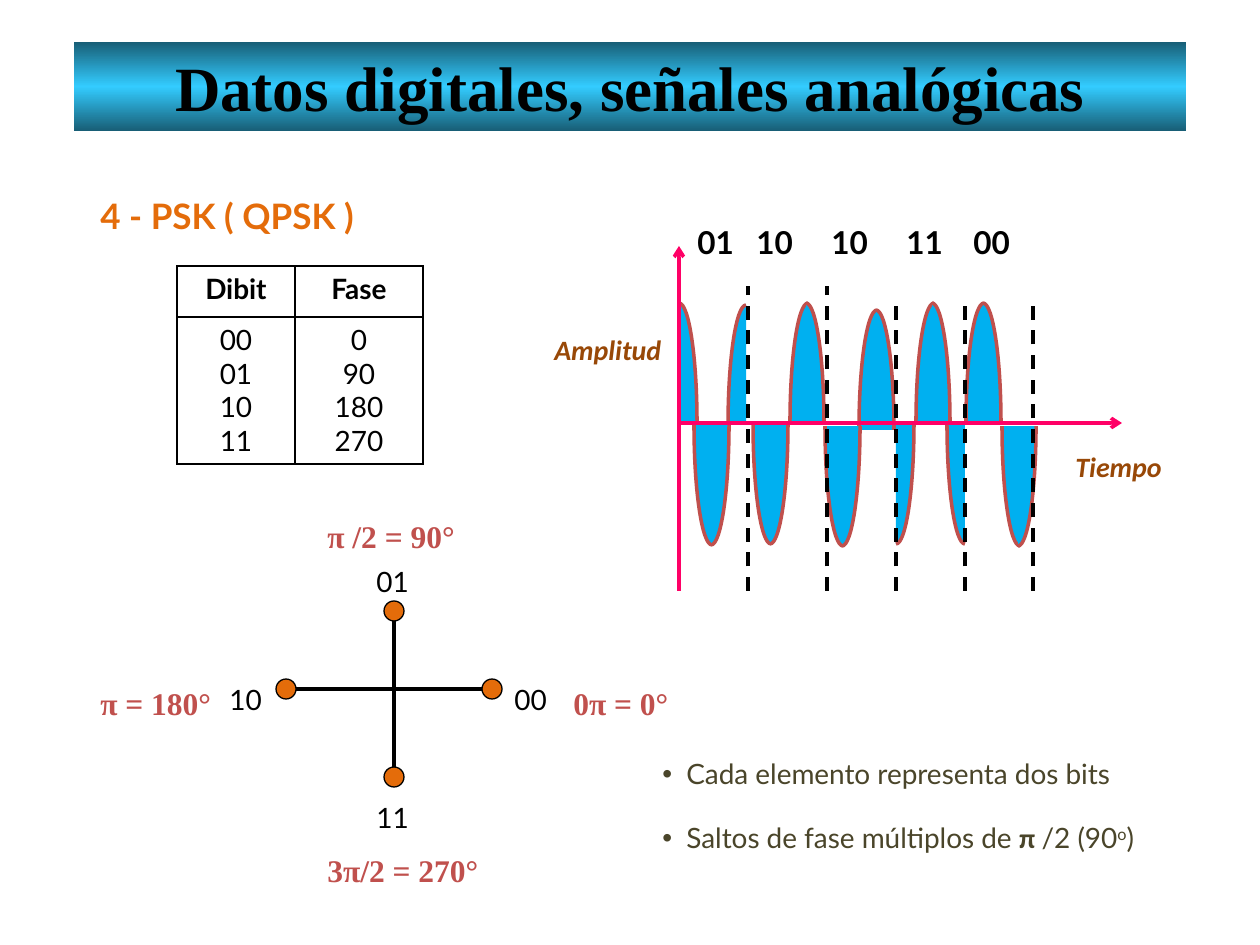
from copy import deepcopy

from lxml.etree import SubElement
from pptx import Presentation
from pptx.dml.color import RGBColor
from pptx.enum.dml import MSO_LINE
from pptx.enum.shapes import MSO_CONNECTOR, MSO_SHAPE
from pptx.enum.text import MSO_ANCHOR, PP_ALIGN
from pptx.oxml import parse_xml
from pptx.oxml.ns import nsdecls, qn
from pptx.util import Pt

EMU_PER_PX = 914400 / 126
COLORS = {
    "black": "000000", "white": "FFFFFF", "orange": "E46C0A",
    "wave": "00B0F0", "red": "C0504D", "axis": "FF0066",
    "brown": "984807", "olive": "4A452A",
    "banner edge": "185E76", "banner middle": "33CCFF",
}
LATO, CALIBRI, TIMES = "Lato", "Calibri", "Times New Roman"

# Quarter waves: (left, top) of each, by direction
QUARTER_WIDTH, QUARTER_HEIGHT = 18, 120
ARC_PULL = 0.55  # Bezier handle length of a quarter ellipse
CREST_RISES = [(728, 305), (790, 303), (859, 310), (916, 303), (966, 303)]
CREST_FALLS = [(679, 303), (806, 303), (876, 310), (932, 303), (983, 303)]
TROUGH_FALLS = [(694, 425), (753, 424), (825, 426), (947, 424), (1002, 426)]
TROUGH_RISES = [(711, 425), (770, 424), (842, 426), (896, 424), (1018, 426)]


def px(length):
    return round(length * EMU_PER_PX)


def rgb(name):
    return RGBColor.from_string(COLORS[name])


def write_text(paragraph, text, *, size=16, color="black", font=LATO, bold=False,
               italic=False, align=PP_ALIGN.LEFT, spacing=1.0, baseline=None):
    paragraph.alignment = align
    paragraph.line_spacing = spacing
    run = paragraph.add_run()
    run.text = text
    run.font.size = Pt(size)
    run.font.name = font
    run.font.bold = bold
    run.font.italic = italic
    run.font.color.rgb = rgb(color)
    if baseline:
        run.font._element.set("baseline", str(baseline))


def add_label(slide, text, left, top, width, height, **text_format):
    label = slide.shapes.add_textbox(px(left), px(top), px(width), px(height))
    label.text_frame.word_wrap = True
    paragraph = label.text_frame.paragraphs[0]
    write_text(paragraph, text, **text_format)
    return paragraph


def add_preset(slide, preset, left, top, width, height, fill, line=None):
    preset_shape = slide.shapes.add_shape(preset, px(left), px(top), px(width), px(height))
    preset_shape.shadow.inherit = False
    preset_shape.fill.solid()
    preset_shape.fill.fore_color.rgb = rgb(fill)
    if line:
        preset_shape.line.color.rgb = rgb(line)
        preset_shape.line.width = Pt(0.75)
    else:
        preset_shape.line.fill.background()
    return preset_shape


def add_line(slide, start, end, color="black", dashed=False, arrow=False):
    connector = slide.shapes.add_connector(
        MSO_CONNECTOR.STRAIGHT, *(px(value) for value in (*start, *end)))
    connector.line.color.rgb = rgb(color)
    connector.line.width = Pt(2)
    if dashed:
        connector.line.dash_style = MSO_LINE.DASH
    if arrow:
        SubElement(connector.line._get_or_add_ln(), qn("a:tailEnd"), type="arrow")
    SubElement(connector._element.spPr, qn("a:effectLst"))


def add_quarter_wave(slide, left, top, crest, peak_right):
    """Fill a quarter ellipse and stroke only its curved side."""
    center_x, foot_x = (QUARTER_WIDTH, 0) if peak_right else (0, QUARTER_WIDTH)
    center_y, peak_y = (QUARTER_HEIGHT, 0) if crest else (0, QUARTER_HEIGHT)
    builder = slide.shapes.build_freeform(px(foot_x), px(center_y))
    builder.add_line_segments(
        [(px(center_x), px(peak_y)), (px(center_x), px(center_y))], close=True)
    quarter = builder.convert_to_shape(px(left), px(top))
    quarter.shadow.inherit = False
    quarter.fill.solid()
    quarter.fill.fore_color.rgb = rgb("wave")
    quarter.line.color.rgb = rgb("red")
    quarter.line.width = Pt(2)
    # Bend the side from foot to peak
    area = quarter._element.spPr.find(".//" + qn("a:path"))
    curve = SubElement(area, qn("a:cubicBezTo"))
    handles = [(foot_x, center_y + ARC_PULL * (peak_y - center_y)),
               (center_x + ARC_PULL * (foot_x - center_x), peak_y),
               (center_x, peak_y)]
    for x, y in handles:
        SubElement(curve, qn("a:pt"), x=str(px(x)), y=str(px(y)))
    area.replace(area[1], curve)
    # Split into an unfilled curve and an unstroked area
    outline = deepcopy(area)
    for straight_side in outline[2:]:
        outline.remove(straight_side)
    outline.set("fill", "none")
    area.set("stroke", "0")
    area.addprevious(outline)


def add_title(slide):
    banner = add_preset(slide, MSO_SHAPE.RECTANGLE, 74, 42, 1112, 89, "banner middle")
    banner.fill.gradient()
    banner.fill.gradient_angle = 90
    stop_list = banner._element.spPr.find(".//" + qn("a:gsLst"))
    for stop in list(stop_list):
        stop_list.remove(stop)
    for position, name in ((0, "banner edge"), (50, "banner middle"), (100, "banner edge")):
        stop = SubElement(stop_list, qn("a:gs"), pos=str(position * 1000))
        SubElement(stop, qn("a:srgbClr"), val=COLORS[name])
    frame = banner.text_frame
    frame.word_wrap = True
    frame.vertical_anchor = MSO_ANCHOR.TOP
    frame.margin_top = px(7)
    write_text(frame.paragraphs[0], "Datos digitales, señales analógicas",
               size=36, font=TIMES, bold=True, align=PP_ALIGN.CENTER)


def add_signal(slide):
    # Modulated wave
    for corners, crest, peak_right in (
            (CREST_RISES, True, True), (CREST_FALLS, True, False),
            (TROUGH_FALLS, False, True), (TROUGH_RISES, False, False)):
        for left, top in corners:
            add_quarter_wave(slide, left, top, crest, peak_right)
    # Bit pairs on tab stops
    bits = add_label(slide, "\t01\t10\t10\t11\t00", 669, 217, 452, 50, size=18, bold=True)
    tabs = SubElement(bits._p.get_or_add_pPr(), qn("a:tabLst"))
    for position in (16, 75, 150, 225, 292):
        SubElement(tabs, qn("a:tab"), pos=str(px(position)), algn="l")
    # Symbol limits and axes
    for x, top in ((748, 286), (827, 286), (896, 296), (965, 296), (1033, 296)):
        add_line(slide, (x, 591), (x, top), dashed=True)
    add_line(slide, (679, 591), (679, 246), "axis", arrow=True)
    add_line(slide, (679, 423), (1122, 423), "axis", arrow=True)
    for name, left, top in (("Tiempo", 1063, 443), ("Amplitud", 542, 326)):
        add_label(slide, name, left, top, 137, 47, font=CALIBRI, color="brown",
                  bold=True, italic=True)


def add_phase_table(slide):
    columns = [("Dibit", ["00", "01", "10", "11"], 118),
               ("Fase", ["0", "90", "180", "270"], 128)]
    row_heights = (51, 147)
    frame = slide.shapes.add_table(2, 2, px(177), px(266), px(246), px(sum(row_heights)))
    table = frame.table
    for row, height in zip(table.rows, row_heights):
        row.height = px(height)
    for column, (heading, values, width) in enumerate(columns):
        table.columns[column].width = px(width)
        for row, lines in enumerate(([heading], values)):
            cell = table.cell(row, column)
            cell.fill.background()
            for number, line in enumerate(lines):
                cell_frame = cell.text_frame
                paragraph = cell_frame.add_paragraph() if number else cell_frame.paragraphs[0]
                write_text(paragraph, line, bold=row == 0, align=PP_ALIGN.CENTER)
            for order, side in enumerate("LRTB"):
                border = parse_xml(
                    f'<a:ln{side} {nsdecls("a")} w="12700"><a:solidFill>'
                    f'<a:srgbClr val="{COLORS["black"]}"/></a:solidFill></a:ln{side}>')
                cell._tc.get_or_add_tcPr().insert(order, border)


def add_constellation(slide):
    center_x, center_y, dot = 394, 689, 20
    add_line(slide, (276, center_y), (502, center_y))
    add_line(slide, (center_x, 787), (center_x, 601))
    for x, y in ((286, center_y), (492, center_y), (center_x, 611), (center_x, 777)):
        add_preset(slide, MSO_SHAPE.OVAL, x - dot // 2, y - dot // 2, dot, dot,
                   "orange", line="black")
    for bits, left, top in (("10", 217, 660), ("00", 502, 660),
                            ("01", 364, 542), ("11", 364, 778)):
        add_label(slide, bits, left, top, 69, 69, spacing=1.5, align=PP_ALIGN.JUSTIFY)
    for phase, left, top, width in (("0π = 0°", 561, 659, 129), ("π /2 = 90°", 315, 492, 158),
                                    ("π = 180°", 88, 659, 138), ("3π/2 = 270°", 315, 826, 187)):
        add_label(slide, phase, left, top, width, 70, size=18, font=TIMES, color="red",
                  bold=True, spacing=1.5, align=PP_ALIGN.JUSTIFY)


def add_bullet(slide, runs, top, width):
    panel = add_preset(slide, MSO_SHAPE.RECTANGLE, 650, top, width, 57, "white")
    panel.text_frame.word_wrap = True
    panel.text_frame.vertical_anchor = MSO_ANCHOR.TOP
    paragraph = panel.text_frame.paragraphs[0]
    for text, text_format in runs:
        write_text(paragraph, text, color="olive", spacing=1.5,
                   align=PP_ALIGN.JUSTIFY, **text_format)
    properties = paragraph._p.get_or_add_pPr()
    properties.set("marL", str(px(24)))
    properties.set("indent", str(-px(24)))
    SubElement(properties, qn("a:buFont"), typeface="Arial")
    SubElement(properties, qn("a:buChar"), char="•")


def main():
    presentation = Presentation()
    presentation.slide_width, presentation.slide_height = px(1260), px(945)
    slide = presentation.slides.add_slide(presentation.slide_layouts[6])
    add_title(slide)
    add_label(slide, "4 - PSK ( QPSK )", 88, 167, 384, 77, size=20, color="orange",
              bold=True, spacing=1.5, align=PP_ALIGN.JUSTIFY)
    add_signal(slide)
    add_phase_table(slide)
    add_constellation(slide)
    add_bullet(slide, [("Cada elemento representa dos bits", {})], 734, 542)
    add_bullet(slide, [("Saltos de fase múltiplos de ", {}),
                       ("π ", {"font": CALIBRI, "bold": True}), ("/2 (90", {}),
                       ("o", {"baseline": 30000}), (")", {})], 798, 561)
    presentation.save("out.pptx")


if __name__ == "__main__":
    main()
